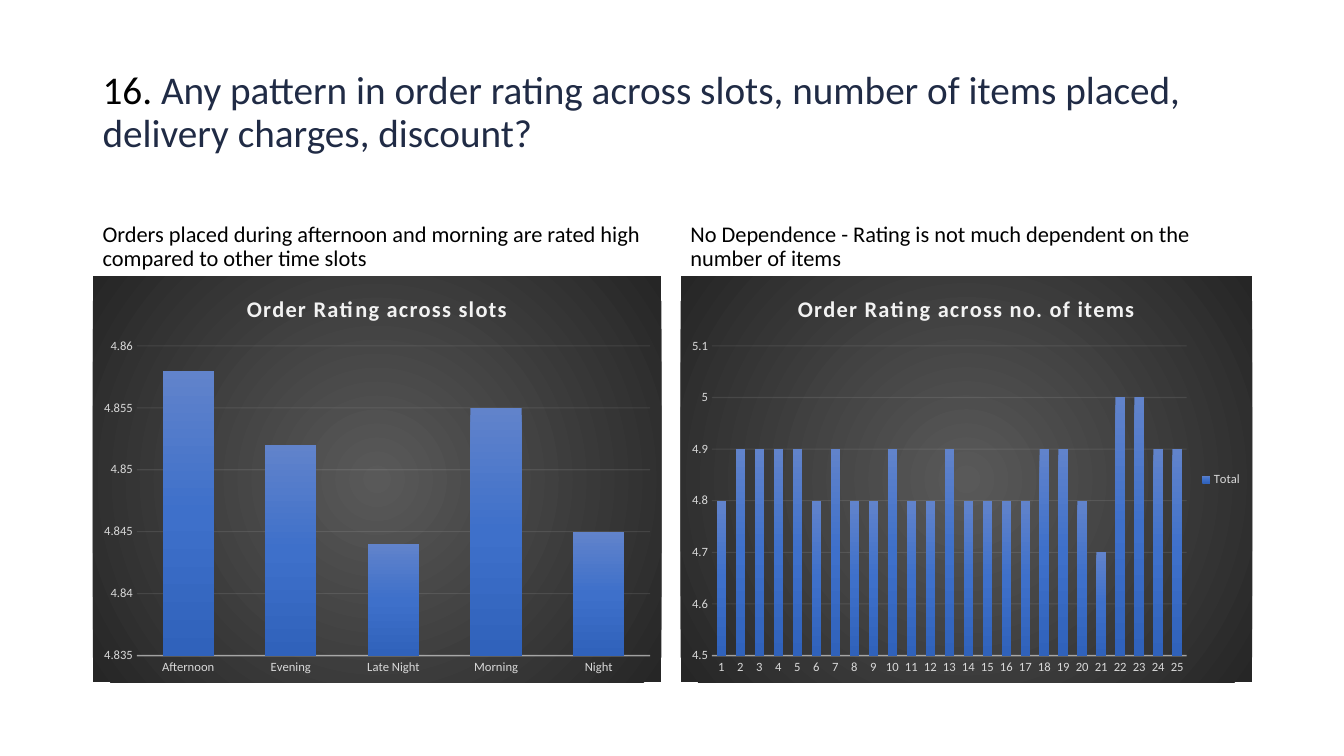
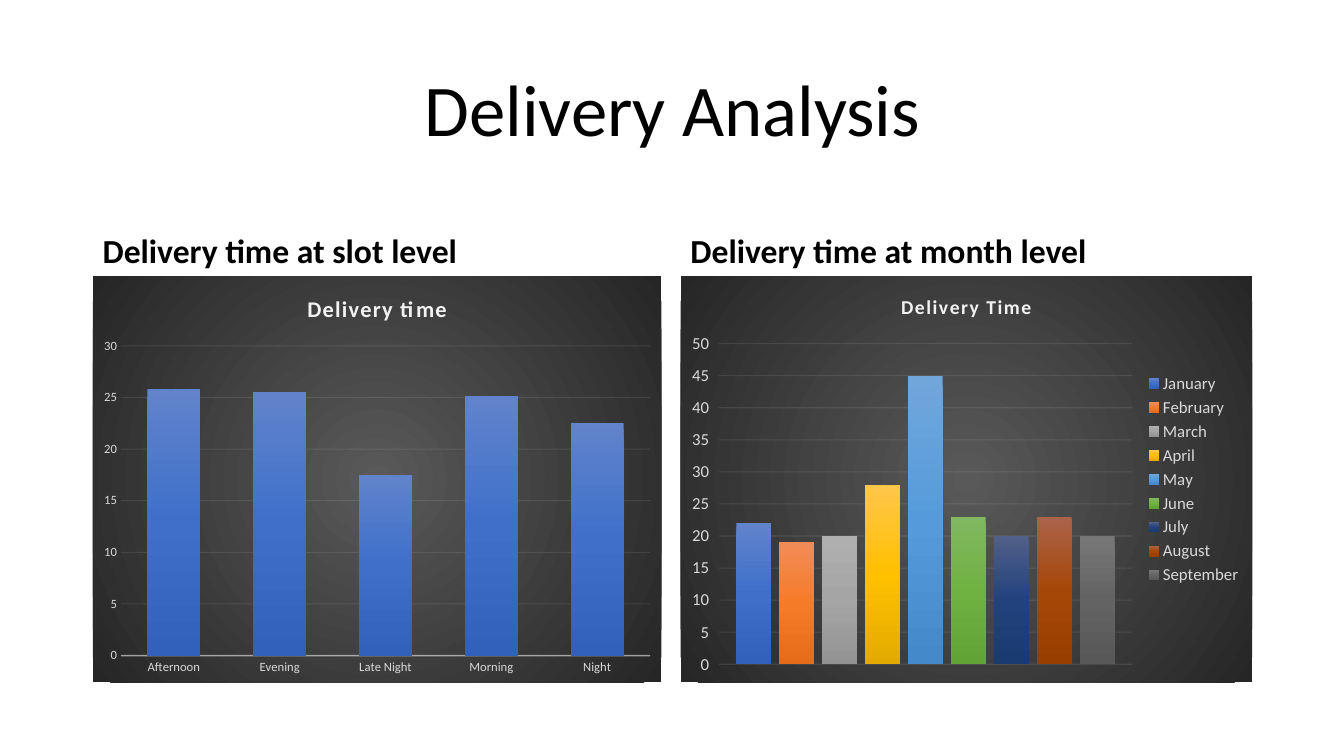
from dataclasses import dataclass

import lxml.etree
import pptx
import pptx.chart.chart
import pptx.chart.data
import pptx.dml.color
import pptx.enum.chart
import pptx.enum.text
import pptx.oxml
import pptx.oxml.ns
import pptx.slide
import pptx.util
from pptx.util import Inches

RGBColor = pptx.dml.color.RGBColor
Align = pptx.enum.text.PP_ALIGN
Anchor = pptx.enum.text.MSO_ANCHOR
Tick = pptx.enum.chart.XL_TICK_MARK

FONT = "Calibri"
BLACK = RGBColor(0x00, 0x00, 0x00)
NAVY = RGBColor(0x20, 0x2B, 0x45)
PALE = RGBColor(0xF2, 0xF2, 0xF2)
LABEL = RGBColor(0xD9, 0xD9, 0xD9)
PANEL_STOPS = (RGBColor(0x59, 0x59, 0x59), RGBColor(0x26, 0x26, 0x26))
SERIES_STOPS = [
    tuple(RGBColor.from_string(code) for code in codes.split())
    for codes in (
        "6183CB 3E70CA 3062BB",
        "F18C57 F67B28 E56C19",
        "AFAFAF A5A5A5 939393",
        "FFC64B FFC000 E3AB00",
        "71A6DB 559BDB 448ACA",
        "81B861 6FB242 62A336",
        "516089 22427D 1A3A72",
        "AB634B A54707 983E00",
        "777777 636363 585858",
    )
]
LINEAR = '<a:lin ang="5400000" scaled="0"/>'
RADIAL = '<a:path path="circle"><a:fillToRect l="50000" t="50000" r="50000" b="50000"/></a:path>'

SLOTS = ["Afternoon", "Evening", "Late Night", "Morning", "Night"]


@dataclass
class Box:
    left: float
    top: float
    width: float
    height: float

    def lengths(self) -> list[int]:
        return [Inches(side) for side in (self.left, self.top, self.width, self.height)]


@dataclass
class Span:
    text: str
    color: RGBColor = BLACK


@dataclass
class ColumnChart:
    title: str
    categories: list[str]
    series: dict[str, list[float]]
    low: float
    high: float
    step: float
    title_size: int = 16
    label_size: int = 9
    has_legend: bool = False
    has_categories: bool = True


@dataclass
class Panel:
    caption: str
    chart: ColumnChart


@dataclass
class Page:
    title: list[Span]
    title_size: int
    title_align: Align
    caption_size: int
    caption_bold: bool
    panels: list[Panel]


TITLE_BOX = Box(0.92, 0.4, 11.5, 1.45)
COLUMNS = ((0.92, 5.64), (6.75, 5.67))  # left, width
CAPTION_TOP, CAPTION_HEIGHT = 1.84, 0.9
CHART_TOP, CHART_HEIGHT = 2.74, 4.03

PAGES = [
    Page(
        [
            Span("16. "),
            Span("Any pattern in order rating across slots, number of items placed, "
                 "delivery charges, discount?", NAVY),
        ],
        28, Align.LEFT, 16, False,
        [
            Panel(
                "Orders placed during afternoon and morning are rated high "
                "compared to other time slots",
                ColumnChart("Order Rating across slots", SLOTS,
                            {"Series 1": [4.858, 4.852, 4.844, 4.855, 4.845]},
                            4.835, 4.86, 0.005),
            ),
            Panel(
                "No Dependence - Rating is not much dependent on the number of items",
                ColumnChart("Order Rating across no. of items",
                            [str(count) for count in range(1, 26)],
                            {"Total": [4.8, 4.9, 4.9, 4.9, 4.9, 4.8, 4.9, 4.8, 4.8,
                                       4.9, 4.8, 4.8, 4.9, 4.8, 4.8, 4.8, 4.8, 4.9,
                                       4.9, 4.8, 4.7, 5, 5, 4.9, 4.9]},
                            4.5, 5.1, 0.1, has_legend=True),
            ),
        ],
    ),
    Page(
        [Span("Delivery Analysis")], 52, Align.CENTER, 24, True,
        [
            Panel(
                "Delivery time at slot level",
                ColumnChart("Delivery time", SLOTS,
                            {"Series 1": [25.8, 25.5, 17.5, 25.1, 22.5]}, 0, 30, 5),
            ),
            Panel(
                "Delivery time at month level",
                ColumnChart("Delivery Time", ["1"],
                            {"January": [22], "February": [19], "March": [20],
                             "April": [28], "May": [45], "June": [23], "July": [20],
                             "August": [23], "September": [20]},
                            0, 50, 5, title_size=14, label_size=12,
                            has_legend=True, has_categories=False),
            ),
        ],
    ),
]


def style_font(font, size: int, color: RGBColor, bold: bool = False) -> None:
    font.name = FONT
    font.size = pptx.util.Pt(size)
    font.bold = bold
    font.color.rgb = color


def add_text(slide: pptx.slide.Slide, box: Box, spans: list[Span], size: int,
             anchor: Anchor, align: Align = Align.LEFT, bold: bool = False) -> None:
    frame = slide.shapes.add_textbox(*box.lengths()).text_frame
    frame.word_wrap = True
    frame.vertical_anchor = anchor
    para = frame.paragraphs[0]
    para.alignment = align
    para.line_spacing = 0.9
    style_font(para.font, size, BLACK, bold)
    for span in spans:
        run = para.add_run()
        run.text = span.text
        run.font.color.rgb = span.color


def gradient(stops: tuple[RGBColor, ...], direction: str):
    """Build a gradient fill with evenly spaced stops."""
    marks = "".join(
        f'<a:gs pos="{100000 * index // (len(stops) - 1)}"><a:srgbClr val="{color}"/></a:gs>'
        for index, color in enumerate(stops)
    )
    return pptx.oxml.parse_xml(
        f'<a:gradFill {pptx.oxml.ns.nsdecls("a")} rotWithShape="1">'
        f"<a:gsLst>{marks}</a:gsLst>{direction}</a:gradFill>"
    )


def set_opacity(colors: list, percent: int) -> None:
    for color in colors:
        alpha = lxml.etree.SubElement(color, pptx.oxml.ns.qn("a:alpha"))
        alpha.set("val", str(percent * 1000))


def fill_background(chart: pptx.chart.chart.Chart) -> None:
    properties = pptx.oxml.parse_xml(
        f'<c:spPr {pptx.oxml.ns.nsdecls("c", "a")}><a:ln><a:noFill/></a:ln></c:spPr>'
    )
    properties.insert(0, gradient(PANEL_STOPS, RADIAL))
    chart._chartSpace.xpath("c:txPr")[0].addprevious(properties)


def style_axes(chart: pptx.chart.chart.Chart, design: ColumnChart) -> None:
    for axis in (chart.category_axis, chart.value_axis):
        axis.major_tick_mark = axis.minor_tick_mark = Tick.NONE
        style_font(axis.tick_labels.font, design.label_size, LABEL)

    categories = chart.category_axis
    categories.visible = design.has_categories
    categories.format.line.width = pptx.util.Pt(1)
    categories.format.line.color.rgb = PALE
    set_opacity(categories._element.xpath("c:spPr//a:srgbClr"), 54)

    values = chart.value_axis
    values.minimum_scale, values.maximum_scale = design.low, design.high
    values.major_unit = design.step
    values.tick_labels.number_format = "General"
    values.tick_labels.number_format_is_linked = False
    values.format.line.fill.background()
    values.has_major_gridlines = True
    grid = values.major_gridlines.format.line
    grid.width = pptx.util.Pt(0.75)
    grid.color.rgb = PALE
    set_opacity(values._element.xpath("c:majorGridlines//a:srgbClr"), 10)
    if not design.has_categories:
        values.major_tick_mark = Tick.OUTSIDE


def add_column_chart(slide: pptx.slide.Slide, box: Box, design: ColumnChart) -> None:
    data = pptx.chart.data.CategoryChartData()
    data.categories = design.categories
    for name, values in design.series.items():
        data.add_series(name, values)
    chart = slide.shapes.add_chart(
        pptx.enum.chart.XL_CHART_TYPE.COLUMN_CLUSTERED, *box.lengths(), data
    ).chart
    style_font(chart.font, 10, BLACK)
    fill_background(chart)

    chart.has_title = True
    chart.chart_title.include_in_layout = False
    run = chart.chart_title.text_frame.paragraphs[0].add_run()
    run.text = design.title
    style_font(run.font, design.title_size, PALE, bold=True)
    run._r.get_or_add_rPr().set("spc", "100")

    chart.has_legend = design.has_legend
    if design.has_legend:
        chart.legend.position = pptx.enum.chart.XL_LEGEND_POSITION.RIGHT
        chart.legend.include_in_layout = False
        style_font(chart.legend.font, design.label_size, LABEL)

    style_axes(chart, design)
    plot = chart.plots[0]
    plot.vary_by_categories = False
    plot.gap_width, plot.overlap = 100, -24
    for series, stops in zip(plot.series, SERIES_STOPS):
        series.format.line.fill.background()
        series._element.get_or_add_spPr().insert(0, gradient(stops, LINEAR))


def add_page(deck, page: Page) -> None:
    slide = deck.slides.add_slide(deck.slide_layouts[6])
    add_text(slide, TITLE_BOX, page.title, page.title_size, Anchor.MIDDLE, page.title_align)
    for (left, width), panel in zip(COLUMNS, page.panels):
        add_text(slide, Box(left, CAPTION_TOP, width, CAPTION_HEIGHT), [Span(panel.caption)],
                 page.caption_size, Anchor.BOTTOM, bold=page.caption_bold)
        add_column_chart(slide, Box(left, CHART_TOP, width, CHART_HEIGHT), panel.chart)


def main() -> None:
    deck = pptx.Presentation()
    deck.slide_width, deck.slide_height = Inches(13.33), Inches(7.5)
    for page in PAGES:
        add_page(deck, page)
    deck.save("out.pptx")


if __name__ == "__main__":
    main()
